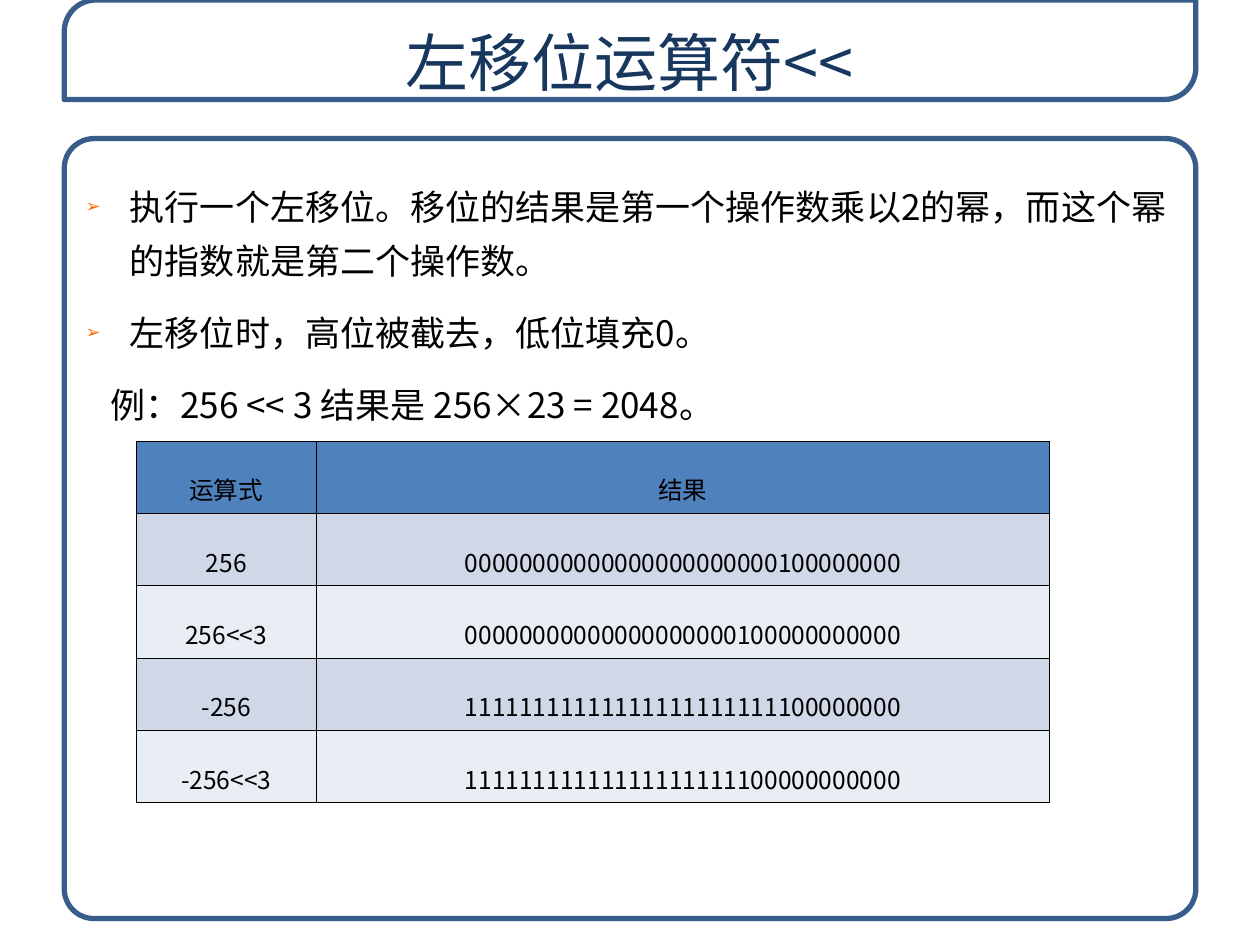
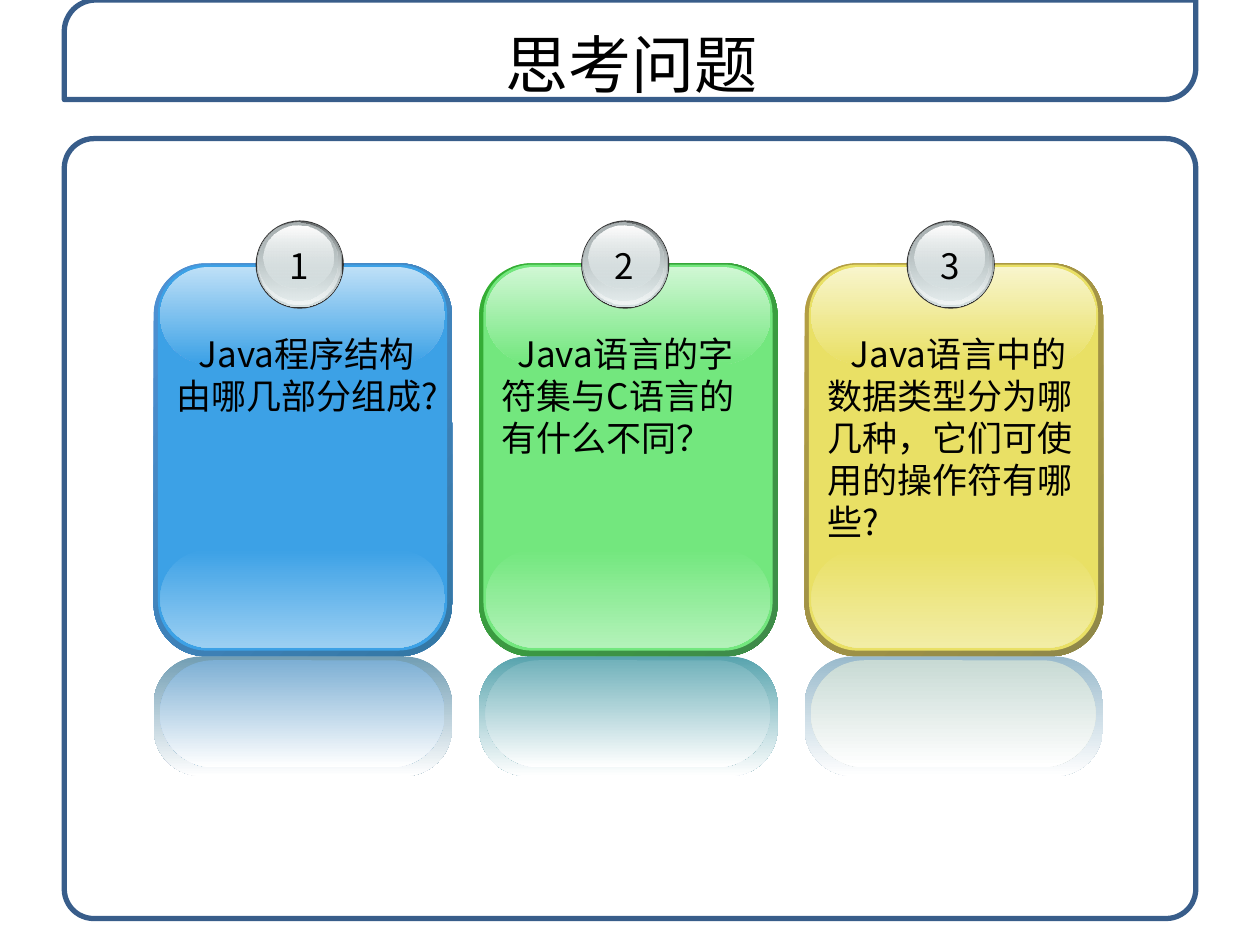
from dataclasses import dataclass
from typing import Any, NamedTuple, Optional

from lxml.etree import SubElement
from pptx import Presentation
from pptx.dml.color import RGBColor as RGB
from pptx.enum.shapes import MSO_SHAPE as SHAPE
from pptx.enum.text import MSO_ANCHOR as ANCHOR, MSO_AUTO_SIZE as AUTO, PP_ALIGN as ALIGN
from pptx.oxml.ns import qn
from pptx.util import Pt


# Theme: colours and type sizes
@dataclass(frozen=True)
class Theme:
    font: str = "Noto Sans CJK SC"
    title_size: float = 36
    body_size: float = 20
    table_size: float = 14
    text: str = "000000"
    title: str = "17375E"
    white: str = "FFFFFF"
    frame: str = "385D8A"
    bullet: str = "FF6600"
    header: str = "4F81BD"
    bands: tuple[str, str] = ("D0D8E8", "E9EDF4")
    rim: str = "333333"
    steel: str = "636869"
    silver: str = "D6E1E2"
    pale: str = "F1F5F5"
    grey: str = "AAB2B3"


THEME = Theme()


class Box(NamedTuple):
    x: float
    y: float
    w: float
    h: float

    def right(self, dx: float) -> "Box":
        return self._replace(x=self.x + dx)

    def lengths(self) -> list[int]:
        return [Pt(v) for v in self]


class Fill(NamedTuple):
    start: str
    end: Optional[str] = None
    alphas: tuple[int, int] = (100, 100)
    angle: int = 90


class Layer(NamedTuple):
    box: Box
    fill: Fill
    radius: Optional[float] = None


class Item(NamedTuple):
    text: str
    first_line: float = 0
    bullet: bool = False


@dataclass(frozen=True)
class Card:
    question: str
    first_line: float
    edge: tuple[str, str]
    face: str
    low_gloss: str
    top_gloss: str
    mirror_edge: str
    mirror_face: str


# Slide content
ITEMS = [
    Item("执行一个左移位。移位的结果是第一个操作数乘以2的幂，而这个幂的指数就是第二个操作数。", -25.2, True),
    Item("左移位时，高位被截去，低位填充0。", -25.2, True),
    Item("例：256 << 3 结果是 256×23 = 2048。", -11.3),
]
SHIFT_ROWS = [
    ("运算式", "结果"),
    ("256", "00000000000000000000000100000000"),
    ("256<<3", "00000000000000000000100000000000"),
    ("-256", "11111111111111111111111100000000"),
    ("-256<<3", "11111111111111111111100000000000"),
]
CARDS = [
    Card("Java程序结构由哪几部分组成?", 13, ("4E91D4", "3477A4"),
         "3CA1E6", "9BCFF2", "BEE0F7", "729EB4", "7DAFD4"),
    Card("Java语言的字符集与C语言的有什么不同？", 9, ("34B034", "3F8B4A"),
         "73E77E", "B3F2B9", "D0F7D4", "58A4AE", "72B2BB"),
    Card("Java语言中的数据类型分为哪几种，它们可使用的操作符有哪些?", 13.5, ("B59F43", "8F8849"),
         "E9E065", "F2EDA6", "F8F5CC", "99BACC", "C8DAD4"),
]

# Card geometry, measured from the left edge of a card
CARD_LEFT, CARD_PITCH = 87.8, 186
QUESTION = Box(5.8, 186.5, 162, 79)
NUMBER = Box(69.8, 136.1, 26.6, 31.7)
BADGE = [
    Layer(Box(58.3, 126, 50.4, 50.4), Fill(THEME.rim)),
    Layer(Box(59, 126.5, 49, 49), Fill(THEME.steel, THEME.silver)),
    Layer(Box(59.5, 126.8, 47.5, 47.5), Fill(THEME.silver, THEME.pale, (0, 100))),
    Layer(Box(59.8, 127.4, 45.4, 44.6), Fill(THEME.grey, THEME.silver, (100, 48))),
    Layer(Box(62.6, 128.9, 40.3, 36), Fill(THEME.white, THEME.silver, (100, 38))),
]


def card_layers(card: Card) -> list[Layer]:
    return [
        Layer(Box(0, 150.5, 170.5, 224.5), Fill(*card.edge, angle=45), 0.175),
        Layer(Box(2.5, 151.2, 165.2, 220.6), Fill(card.face), 0.168),
        Layer(Box(3.8, 313.9, 162.7, 56.2), Fill(card.face, card.low_gloss), 0.5),
        Layer(Box(3.8, 152.6, 162.7, 55.4), Fill(card.top_gloss, card.face), 0.5),
        Layer(Box(0, 375.1, 170.5, 68.4), Fill(card.mirror_edge, THEME.white), 0.4),
        Layer(Box(3.6, 377.3, 162.7, 61.2), Fill(card.mirror_face, THEME.white), 0.5),
        *BADGE,
    ]


# Drawing helpers
def style_runs(p: Any, size: float, color: str = THEME.text) -> None:
    for r in p.runs:
        r.font.size = Pt(size)
        r.font.color.rgb = RGB.from_string(color)
        r.font.name = THEME.font
        SubElement(r.font._element, qn("a:ea"), typeface=THEME.font)


def place(sp: Any, box: Box) -> None:
    sp.left, sp.top, sp.width, sp.height = box.lengths()


def set_alphas(sp: Any, alphas: tuple[int, ...]) -> None:
    for clr, alpha in zip(sp.element.spPr.iter(qn("a:srgbClr")), alphas):
        if alpha < 100:
            SubElement(clr, qn("a:alpha"), val=str(alpha * 1000))


def add_layer(shapes: Any, kind: SHAPE, box: Box, fill: Fill, *adjustments: float) -> Any:
    sp = shapes.add_shape(kind, *box.lengths())
    sp.shadow.inherit = False
    for i, value in enumerate(adjustments):
        sp.adjustments[i] = value
    if fill.end:
        sp.fill.gradient()
        sp.fill.gradient_angle = 360 - fill.angle
        for stop, color in zip(sp.fill.gradient_stops, (fill.start, fill.end)):
            stop.color.rgb = RGB.from_string(color)
    else:
        sp.fill.solid()
        sp.fill.fore_color.rgb = RGB.from_string(fill.start)
    set_alphas(sp, fill.alphas)
    sp.line.fill.background()
    return sp


def add_text(shapes: Any, box: Box, text: str, wrap: bool) -> Any:
    tf = shapes.add_textbox(*box.lengths()).text_frame
    tf.word_wrap = wrap
    tf.text = text
    p = tf.paragraphs[0]
    style_runs(p, THEME.body_size)
    return p


def set_title(slide: Any, text: str, box: Box, color: str) -> None:
    sp = slide.shapes.title
    place(sp, box)
    tf = sp.text_frame
    tf.text = text
    tf.auto_size = AUTO.NONE
    tf.vertical_anchor = ANCHOR.TOP
    p = tf.paragraphs[0]
    p.alignment = ALIGN.CENTER
    style_runs(p, THEME.title_size, color)


# Frames shared by all slides, kept on the master behind its placeholders
def add_frames(prs: Any, slide: Any) -> None:
    tree = prs.slide_master.shapes.element
    frames = [
        (SHAPE.ROUNDED_RECTANGLE, Box(36.7, 79.2, 646.6, 445.7), (0.038,)),
        (SHAPE.ROUND_2_DIAG_RECTANGLE, Box(36.7, 0, 646.6, 56.9), (0.316, 0)),
    ]
    for i, (kind, box, adjustments) in enumerate(frames):
        sp = add_layer(slide.shapes, kind, box, Fill(THEME.white, alphas=(85, 100)), *adjustments)
        sp.line.color.rgb = RGB.from_string(THEME.frame)
        sp.line.width = Pt(3)
        sp.element.nvSpPr.cNvPr.set("id", str(101 + i))
        tree.insert(2 + i, sp.element)


def set_bullet(p: Any, item: Item) -> None:
    pPr = p._p.get_or_add_pPr()
    pPr.set("marL", str(Pt(25.2)))
    pPr.set("indent", str(Pt(item.first_line)))
    if item.bullet:
        SubElement(SubElement(pPr, qn("a:buClr")), qn("a:srgbClr"), val=THEME.bullet)
        SubElement(pPr, qn("a:buSzPct"), val="50000")
        SubElement(pPr, qn("a:buChar"), char="➢")
    else:
        SubElement(pPr, qn("a:buNone"))


def fill_list(sp: Any, items: list[Item], box: Box) -> None:
    place(sp, box)
    tf = sp.text_frame
    tf.auto_size = AUTO.NONE
    for i, item in enumerate(items):
        p = tf.add_paragraph() if i else tf.paragraphs[0]
        p.text = item.text
        set_bullet(p, item)
        p.line_spacing = 1.3
        p.space_before = Pt(5 if i else 0)
        p.space_after = Pt(5)
        style_runs(p, THEME.body_size)


def set_borders(cell: Any) -> None:
    tcPr = cell._tc.get_or_add_tcPr()
    for i, side in enumerate(("lnL", "lnR", "lnT", "lnB")):
        ln = SubElement(tcPr, qn(f"a:{side}"), w=str(Pt(0.45)))
        SubElement(SubElement(ln, qn("a:solidFill")), qn("a:srgbClr"), val=THEME.text)
        tcPr.insert(i, ln)


def add_shift_table(slide: Any, box: Box, widths: tuple[float, ...]) -> None:
    table = slide.shapes.add_table(len(SHIFT_ROWS), len(widths), *box.lengths()).table
    for column, width in zip(table.columns, widths):
        column.width = Pt(width)
    for i, values in enumerate(SHIFT_ROWS):
        color = THEME.bands[(i - 1) % 2] if i else THEME.header
        for cell, value in zip(table.rows[i].cells, values):
            cell.text = value
            cell.margin_top = Pt(7.1)
            cell.fill.solid()
            cell.fill.fore_color.rgb = RGB.from_string(color)
            set_borders(cell)
            p = cell.text_frame.paragraphs[0]
            p.alignment = ALIGN.CENTER
            p.line_spacing = 1.5
            p.space_after = Pt(3.5)
            p.space_before = Pt(0)
            style_runs(p, THEME.table_size)


def add_card(slide: Any, index: int, card: Card) -> None:
    shapes = slide.shapes.add_group_shape().shapes
    left = CARD_LEFT + index * CARD_PITCH
    for box, fill, radius in card_layers(card):
        if radius is None:
            add_layer(shapes, SHAPE.OVAL, box.right(left), fill)
        else:
            add_layer(shapes, SHAPE.ROUNDED_RECTANGLE, box.right(left), fill, radius)
    add_text(shapes, NUMBER.right(left), str(index + 1), False).alignment = ALIGN.CENTER
    p = add_text(shapes, QUESTION.right(left), card.question, True)
    p._p.get_or_add_pPr().set("indent", str(Pt(card.first_line)))


def main() -> None:
    prs = Presentation()
    prs.slide_width, prs.slide_height = Pt(720), Pt(540)

    # Left shift operator
    slide = prs.slides.add_slide(prs.slide_layouts[1])
    add_frames(prs, slide)
    set_title(slide, "左移位运算符<<", Box(36.7, 10, 646, 54.7), THEME.title)
    fill_list(slide.placeholders[1], ITEMS, Box(41.8, 95, 635.8, 147))
    add_shift_table(slide, Box(77.8, 252, 522, 174.25), (103, 419))

    # Review questions
    slide = prs.slides.add_slide(prs.slide_layouts[5])
    set_title(slide, "思考问题", Box(36.7, 10.8, 648, 41), THEME.text)
    for i, card in enumerate(CARDS):
        add_card(slide, i, card)

    prs.save("out.pptx")


if __name__ == "__main__":
    main()
